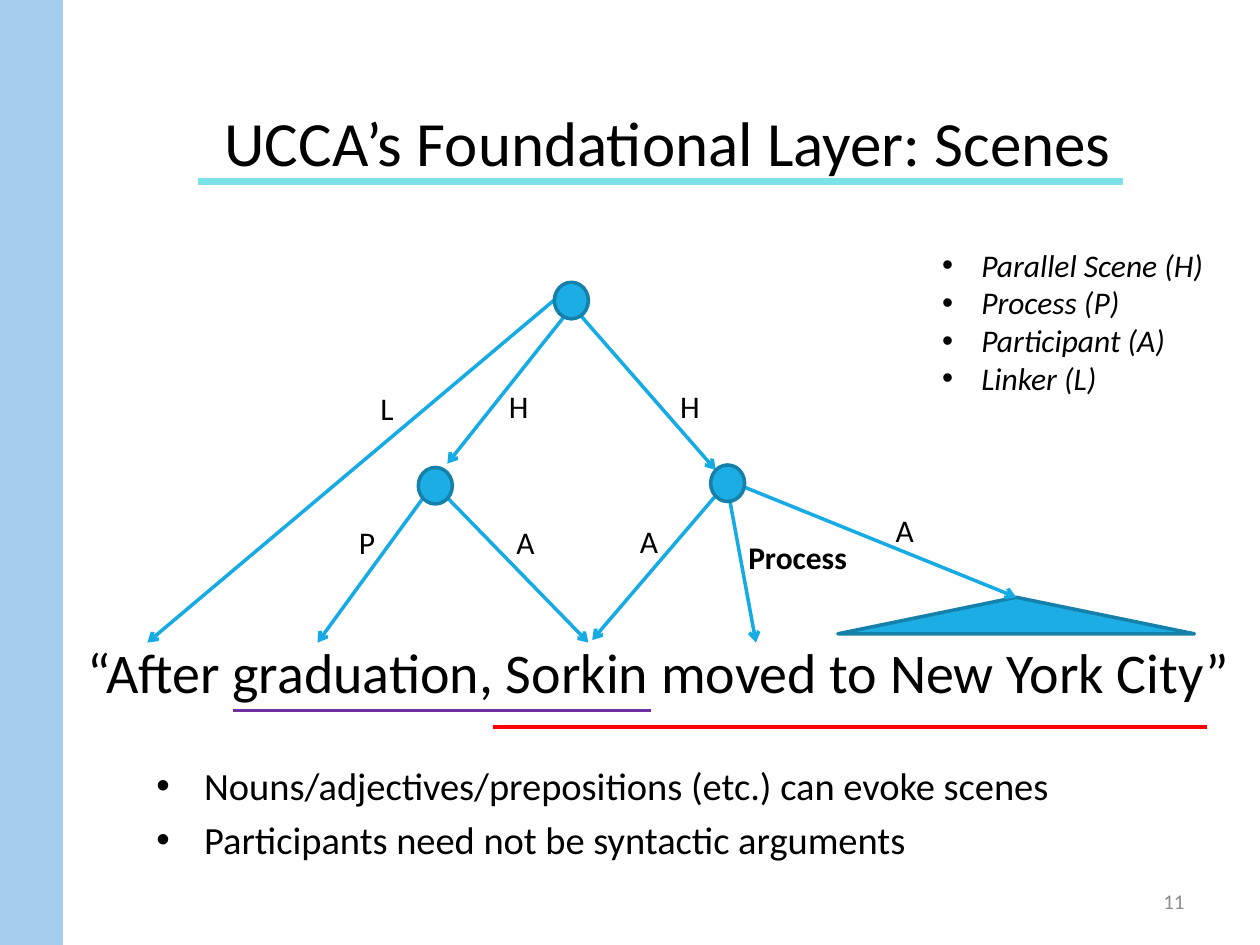
import dataclasses

import pptx
import pptx.dml.color
import pptx.enum.shapes
import pptx.enum.text
import pptx.oxml.ns
import pptx.util
from lxml import etree

COLORS = {
    "black": "000000", "sidebar": "A3CEED", "title_rule": "7DE2E7",
    "node": "1CADE4", "node_line": "1580A9", "edge": "16ABE4",
    "first_scene": "7030A0", "second_scene": "FF0000", "number": "8C8C8C",
}
FONT = "Calibri"
SLIDE_WIDTH, SLIDE_HEIGHT = pptx.util.Inches(10), pptx.util.Inches(7.5)
COLUMN, ROW = SLIDE_WIDTH / 100, SLIDE_HEIGHT / 75
NODE_WIDTH, NODE_HEIGHT = 2.7, 2.9
ALIGN = pptx.enum.text.PP_ALIGN
SHAPES = pptx.enum.shapes.MSO_SHAPE


@dataclasses.dataclass
class Box:
    """A region measured in columns and rows of the slide grid."""
    left: float
    top: float
    width: float
    height: float

    def inner(self, left, top, width, height):
        """Return a box placed relative to this one."""
        return Box(self.left + left, self.top + top, width, height)

    def point(self, column, row):
        """Return the slide position of a relative grid point."""
        return round((self.left + column) * COLUMN), round((self.top + row) * ROW)

    def frame(self):
        """Return left, top, width and height in slide units."""
        return (*self.point(0, 0), round(self.width * COLUMN), round(self.height * ROW))


def rgb(name):
    """Return a named colour."""
    return pptx.dml.color.RGBColor.from_string(COLORS[name])


def move(shape, box):
    """Place a shape in a box."""
    shape.left, shape.top, shape.width, shape.height = box.frame()


def write(shape, lines, size, color="black", align=ALIGN.LEFT, bold=None, italic=None, indent=None):
    """Fill a shape with one paragraph a line, bulleted when indented."""
    frame = shape.text_frame
    frame.word_wrap = True
    frame.auto_size = pptx.enum.text.MSO_AUTO_SIZE.NONE
    for index, line in enumerate(lines):
        paragraph = frame.add_paragraph() if index else frame.paragraphs[0]
        paragraph.alignment = align
        run = paragraph.add_run()
        run.text = line
        run.font.name, run.font.size = FONT, pptx.util.Pt(size)
        run.font.bold, run.font.italic = bold, italic
        run.font.color.rgb = rgb(color)
        if indent:
            add_bullet(paragraph, indent)


def add_bullet(paragraph, indent):
    """Give a paragraph a round bullet and a hanging indent in inches."""
    properties = paragraph._p.get_or_add_pPr()
    margin = pptx.util.Inches(indent)
    properties.set("marL", str(margin))
    properties.set("indent", str(-margin))
    for tag, key, value in (("a:buFont", "typeface", "Arial"), ("a:buChar", "char", "•")):
        etree.SubElement(properties, pptx.oxml.ns.qn(tag)).set(key, value)


def add_text(slide, box, lines, size, **style):
    """Add a text box and return it."""
    shape = slide.shapes.add_textbox(*box.frame())
    write(shape, lines, size, **style)
    return shape


def add_shape(slide, kind, box, fill, line=None):
    """Add a flat filled shape."""
    shape = slide.shapes.add_shape(kind, *box.frame())
    shape.shadow.inherit = False
    shape.fill.solid()
    shape.fill.fore_color.rgb = rgb(fill)
    if line:
        shape.line.color.rgb = rgb(line)
        shape.line.width = pptx.util.Pt(2)
    else:
        shape.line.fill.background()
    return shape


def add_line(slide, box, start, end, color, width=2, arrow=False):
    """Add a straight connector between two points of a box."""
    connector = slide.shapes.add_connector(
        pptx.enum.shapes.MSO_CONNECTOR.STRAIGHT, *box.point(*start), *box.point(*end))
    connector.line.color.rgb = rgb(color)
    connector.line.width = pptx.util.Pt(width)
    properties = connector._element.spPr
    if arrow:
        tail = etree.SubElement(properties.find(pptx.oxml.ns.qn("a:ln")), pptx.oxml.ns.qn("a:tailEnd"))
        tail.set("type", "arrow")
    etree.SubElement(properties, pptx.oxml.ns.qn("a:effectLst"))
    return connector


def add_sidebar(slide, box):
    """Add the coloured band at the left edge."""
    add_shape(slide, SHAPES.RECTANGLE, box, "sidebar")


def add_title(slide, box):
    """Fill the title placeholder and underline it."""
    title = slide.shapes.title
    move(title, box)
    title.text_frame.vertical_anchor = pptx.enum.text.MSO_ANCHOR.MIDDLE
    write(title, ["UCCA’s Foundational Layer: Scenes"], 36, align=ALIGN.CENTER)
    add_line(slide, box, (7.7, 9.4), (81.1, 9.4), "title_rule", width=4)


def add_tree(slide, box):
    """Draw the scene graph with its nodes, edges and edge labels."""
    edges = [
        ((34, 3.8), (1.7, 31)), ((34.8, 5.1), (25.5, 16.8)), ((35.7, 4.6), (46.8, 17.3)),
        ((23.6, 19.5), (15.2, 31)), ((25.5, 19.5), (36.7, 31)),
        ((47.7, 18.3), (37, 30.8)), ((47.7, 18.5), (50, 31)),
    ]
    for start, end in edges:
        add_line(slide, box, start, end, "edge", arrow=True)
    phrase = add_shape(slide, SHAPES.ISOSCELES_TRIANGLE, box.inner(56.5, 27.4, 28.3, 2.9),
                       "node", "node_line")
    phrase_edge = add_line(slide, box, (46.7, 17.7), (70.6, 27.4), "edge", arrow=True)
    phrase_edge.end_connect(phrase, 0)
    for column, row in [(34, 2.4), (23.2, 17.1), (46.4, 16.9)]:
        add_shape(slide, SHAPES.OVAL, box.inner(column, row, NODE_WIDTH, NODE_HEIGHT),
                  "node", "node_line")
    labels = [
        ("L", 19.2, 10.4), ("H", 29.4, 10.2), ("H", 43, 10.2), ("P", 17.5, 21),
        ("A", 30, 21), ("A", 39.8, 20.9), ("A", 60.1, 20.1), ("Process", 48.4, 22.2),
    ]
    for label, column, row in labels:
        add_text(slide, box.inner(column, row, 20.8, 4), [label], 18, bold=label == "Process")


def add_sentence(slide, box):
    """Write the example sentence and underline its two scenes."""
    add_text(slide, box, ["“After graduation, Sorkin moved to New York City”"], 32,
             align=ALIGN.CENTER)
    add_line(slide, box, (12.7, 6.3), (45.9, 6.3), "first_scene")
    add_line(slide, box, (33.3, 7.6), (90, 7.6), "second_scene")


def add_legend(slide, box):
    """List the edge categories."""
    categories = ["Parallel Scene (H)", "Process (P)", "Participant (A)", "Linker (L)"]
    add_text(slide, box, categories, 18, italic=True, indent=0.31)


def add_remarks(slide, box):
    """Fill the body placeholder with the remarks."""
    body = slide.placeholders[1]
    move(body, box)
    write(body, ["Nouns/adjectives/prepositions (etc.) can evoke scenes",
                 "Participants need not be syntactic arguments"], 22, indent=0.38)


def add_number(slide, box):
    """Write the slide number."""
    shape = add_text(slide, box, ["11"], 12, color="number", align=ALIGN.RIGHT)
    shape.text_frame.vertical_anchor = pptx.enum.text.MSO_ANCHOR.MIDDLE


def main():
    """Build and save the presentation."""
    presentation = pptx.Presentation()
    presentation.slide_width, presentation.slide_height = SLIDE_WIDTH, SLIDE_HEIGHT
    slide = presentation.slides.add_slide(presentation.slide_layouts[1])
    add_sidebar(slide, Box(0, 0, 5, 75))
    add_title(slide, Box(8, 5, 90, 12.5))
    add_tree(slide, Box(10, 20, 85, 31))
    add_sentence(slide, Box(5.8, 50.1, 93, 6.4))
    add_legend(slide, Box(73.8, 19, 25, 13.1))
    add_remarks(slide, Box(11.4, 60, 85.8, 12))
    add_number(slide, Box(71.7, 69.5, 23.3, 4))
    presentation.save("out.pptx")


if __name__ == "__main__":
    main()
